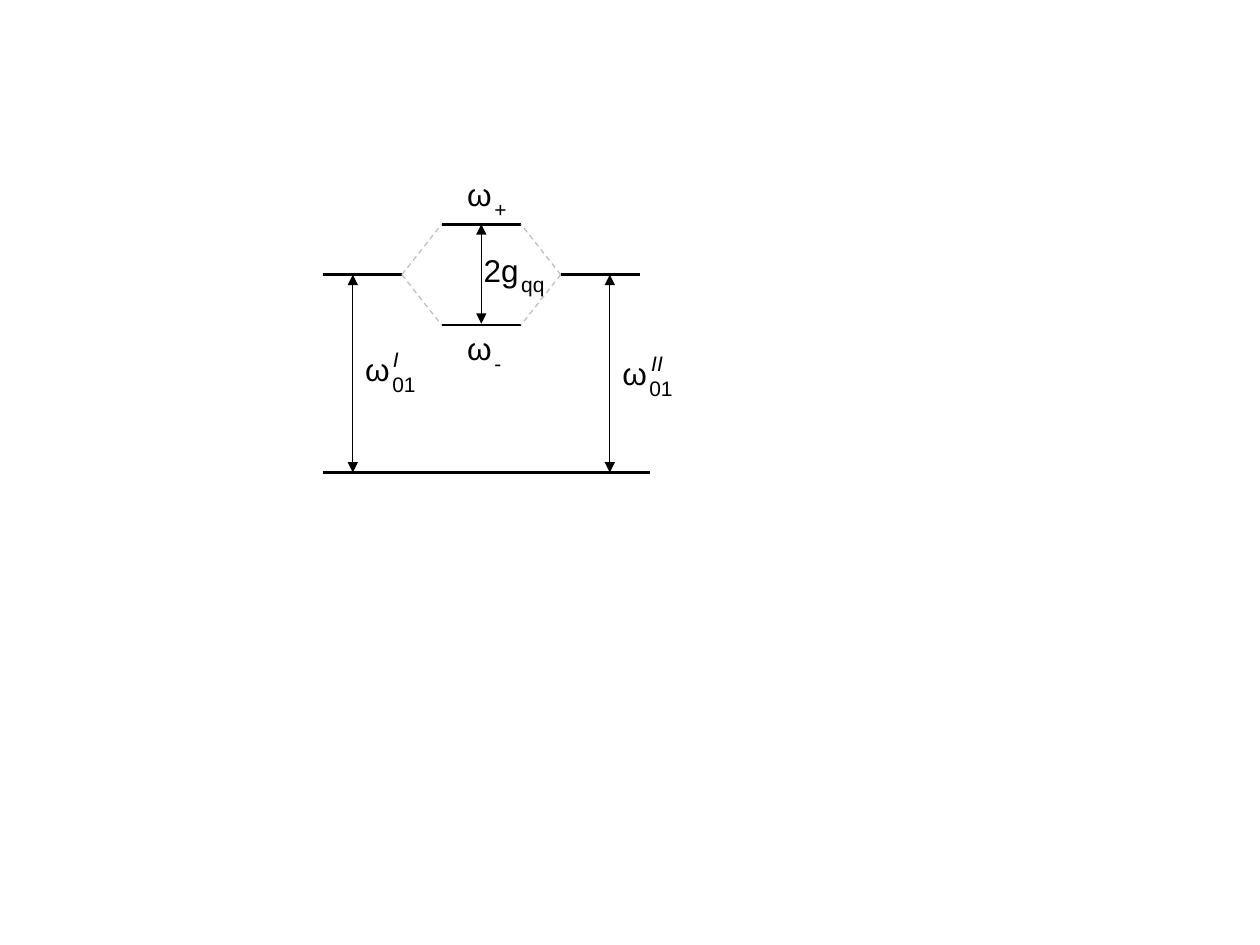
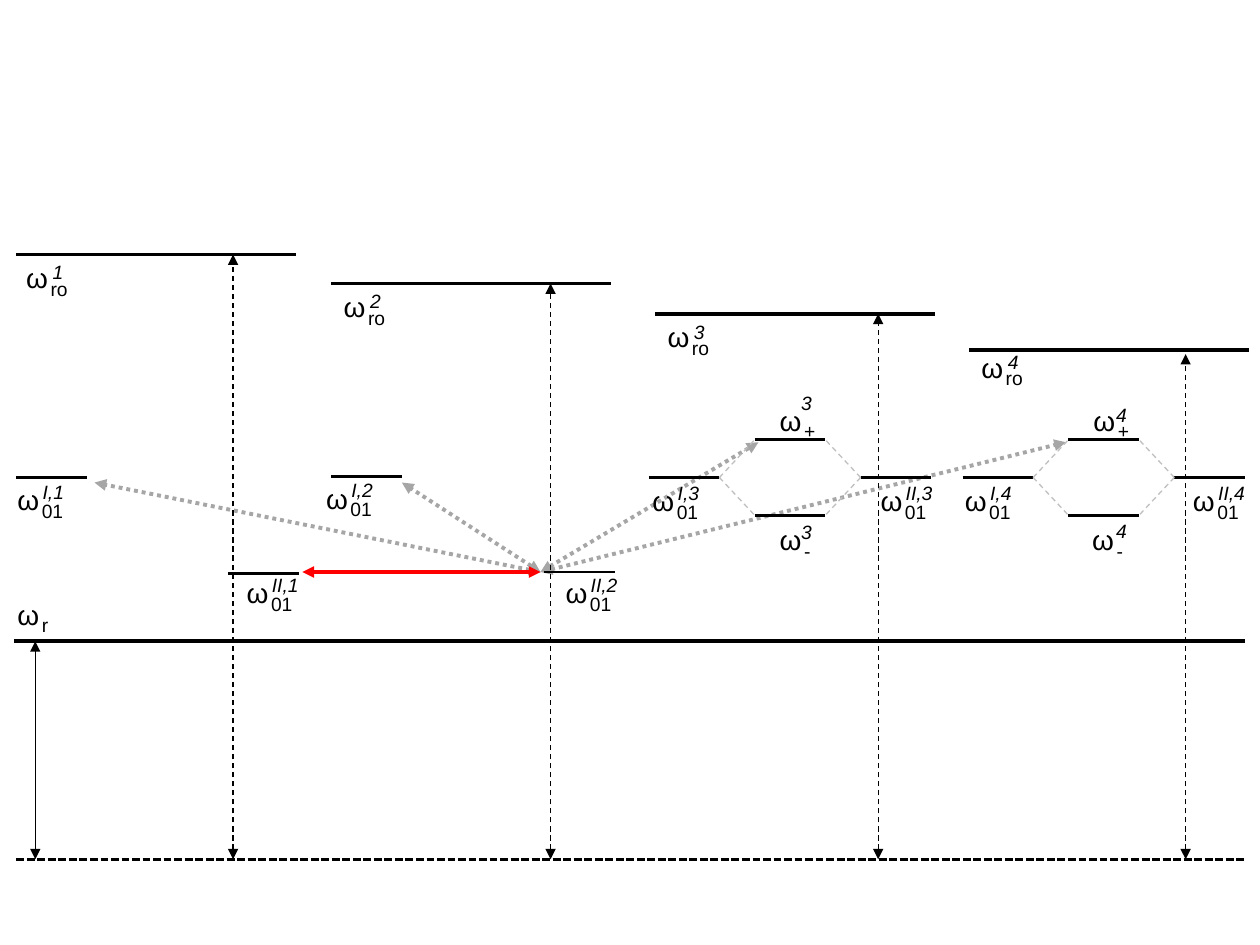
"""Draw two energy level diagrams of coupled qubits."""
from lxml.etree import SubElement
from pptx import Presentation
from pptx.dml.color import RGBColor
from pptx.enum.dml import MSO_LINE
from pptx.enum.shapes import MSO_CONNECTOR
from pptx.enum.text import MSO_AUTO_SIZE
from pptx.oxml.ns import qn
from pptx.util import Inches, Pt

WIDE, HIGH = 10, 7.5
FONT = "Arial"
BLACK = RGBColor(0, 0, 0)
PALE = RGBColor(0xBF, 0xBF, 0xBF)
GRAY = RGBColor(0xA6, 0xA6, 0xA6)
RED = RGBColor(0xFF, 0, 0)
DASH, DOT, SHORT = MSO_LINE.DASH, MSO_LINE.ROUND_DOT, MSO_LINE.SQUARE_DOT

EMS = {"ω": 0.78, "I": 0.28, ",": 0.28, "-": 0.33, "+": 0.58, "r": 0.33}
DIGIT = 0.556

# base, sub, sup, left, top, sup shift
PAIR = {
    "size": (18, 12), "drop": 0.17, "ground": 3.75,
    "split": (2.56, 2.18, 0.63, 0.4),
    "spans": [(2.8, 2.18, 3.75), (3.82, 1.78, 2.57), (4.84, 2.18, 3.75)],
    "marks": [
        ("ω", "01", "I", 2.8, 2.73, (0.22, -0.03)),
        ("ω", "01", "II", 4.84, 2.76, (0.23, -0.03)),
        ("ω", "-", "", 3.61, 2.56, None),
        ("ω", "+", "", 3.61, 1.34, None),
        ("2g", "qq", "", 3.74, 1.94, None),
    ],
}

TOP, LOW = (0.21, 0), (0.2, -0.02)
CHAIN = {
    "size": (16, 11), "drop": 0.13, "ground": 5.09, "floor": 6.82,
    "bar": 0.56, "roof": 2.22, "hub": (4.29, 4.54),
    "splits": [(5.15, 3.79, 0.56, 0.3), (7.64, 3.79, 0.56, 0.3)],
    "levels": [(0.13, 3.79), (1.81, 4.55), (2.63, 3.78), (4.32, 4.54)],
    "roofs": [(0.13, 2.02), (2.63, 2.25), (5.2, 2.49), (7.69, 2.78)],
    "spans": [(1.85, 2.02), (4.37, 2.25), (6.97, 2.49), (9.41, 2.81)],
    "goals": [(6.02, 3.51), (8.46, 3.51), (3.19, 3.83), (0.75, 3.83)],
    "marks": [
        ("ω", "01", "I,1", 0.04, 3.78, LOW),
        ("ω", "01", "II,1", 1.86, 4.52, LOW),
        ("ω", "01", "I,2", 2.49, 3.77, LOW),
        ("ω", "01", "II,2", 4.39, 4.52, LOW),
        ("ω", "01", "I,3", 5.08, 3.79, LOW),
        ("ω", "01", "II,3", 6.89, 3.79, LOW),
        ("ω", "01", "I,4", 7.56, 3.79, LOW),
        ("ω", "01", "II,4", 9.37, 3.79, LOW),
        ("ω", "+", "3", 6.09, 3.15, (0.17, -0.09)),
        ("ω", "-", "3", 6.09, 4.1, (0.17, -0.02)),
        ("ω", "+", "4", 8.58, 3.15, (0.18, 0)),
        ("ω", "-", "4", 8.57, 4.1, (0.19, -0.03)),
        ("ω", "r", "", 0.04, 4.69, None),
        ("ω", "ro", "1", 0.11, 2.02, TOP),
        ("ω", "ro", "2", 2.63, 2.25, TOP),
        ("ω", "ro", "3", 5.2, 2.49, TOP),
        ("ω", "ro", "4", 7.69, 2.73, TOP),
    ],
}


def line(slide, start, end, color=BLACK, width=1.5, dash=None, ends=False):
    link = slide.shapes.add_connector(
        MSO_CONNECTOR.STRAIGHT, *map(Inches, (*start, *end)))
    link.line.color.rgb = color
    link.line.width = Pt(width)
    if dash:
        link.line.dash_style = dash
    if ends:
        stroke = link.line._get_or_add_ln()
        for tag in ("a:headEnd", "a:tailEnd"):
            SubElement(stroke, qn(tag), type="triangle")
    SubElement(link._element.spPr, qn("a:effectLst"))


def level(slide, x, y, span, width=1.5):
    line(slide, (x, y), (x + span, y), width=width)


def split(slide, x, y, bar, rise):
    level(slide, x, y, bar)
    level(slide, x + 3 * bar, y, bar)
    for step in (-rise, rise):
        level(slide, x + 1.5 * bar, y + step, bar)
        for near, far in ((1, 1.5), (3, 2.5)):
            line(slide, (x + near * bar, y), (x + far * bar, y + step),
                 PALE, 0.75, DASH)


def span(text, size):
    return sum(EMS.get(char, DIGIT) for char in text) * size / 72


def label(slide, text, x, y, size, slant=False):
    box = slide.shapes.add_textbox(*map(Inches, (
        x, y, span(text, size) + 0.2, size / 60 + 0.1)))
    frame = box.text_frame
    frame.word_wrap = False
    frame.auto_size = MSO_AUTO_SIZE.SHAPE_TO_FIT_TEXT
    frame.text = text
    font = frame.paragraphs[0].runs[0].font
    font.name, font.size, font.italic = FONT, Pt(size), slant
    font.color.rgb = BLACK


def marks(slide, data):
    big, small = data["size"]
    for base, sub, sup, x, y, shift in data["marks"]:
        label(slide, sub, x + span(base, big) + 0.02, y + data["drop"], small)
        label(slide, base, x, y, big)
        if sup:
            label(slide, sup, x + shift[0], y + shift[1], small, True)


def draw_pair(slide):
    level(slide, 2.56, PAIR["ground"], 2.6)
    split(slide, *PAIR["split"])
    for x, top, end in PAIR["spans"]:
        line(slide, (x, top), (x, end), width=0.75, ends=True)
    marks(slide, PAIR)


def draw_chain(slide):
    hub, floor, ground = CHAIN["hub"], CHAIN["floor"], CHAIN["ground"]
    for goal in CHAIN["goals"]:
        line(slide, hub, goal, GRAY, 2.25, DOT, True)
    line(slide, (0.13, floor), (9.88, floor), dash=SHORT)
    level(slide, 0.11, ground, 9.77, 2.25)
    for x, y in CHAIN["levels"]:
        level(slide, x, y, CHAIN["bar"])
    for part in CHAIN["splits"]:
        split(slide, *part)
    for x, y in CHAIN["roofs"]:
        level(slide, x, y, CHAIN["roof"], 2.25)
    marks(slide, CHAIN)
    line(slide, (0.28, floor), (0.28, ground), width=0.75, ends=True)
    for x, top in CHAIN["spans"]:
        line(slide, (x, floor), (x, top), BLACK, 0.75, DASH, True)
    line(slide, hub, (2.4, hub[1]), RED, 2.25, ends=True)


def main():
    deck = Presentation()
    deck.slide_width, deck.slide_height = Inches(WIDE), Inches(HIGH)
    for draw in (draw_pair, draw_chain):
        draw(deck.slides.add_slide(deck.slide_layouts[6]))
    deck.save("out.pptx")


if __name__ == "__main__":
    main()
